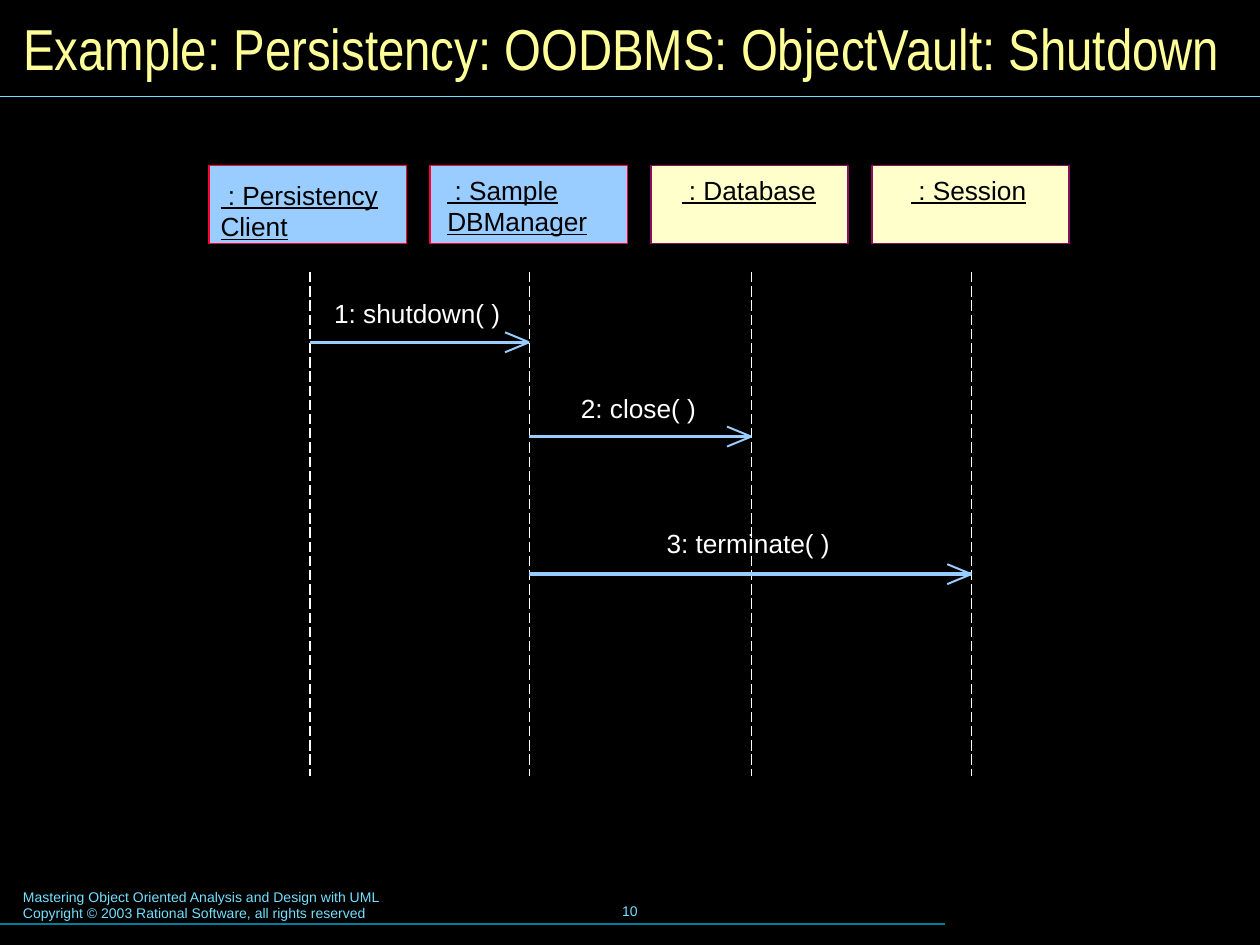
from pptx import Presentation
from pptx.dml.color import RGBColor
from pptx.enum.dml import MSO_LINE
from pptx.enum.shapes import MSO_CONNECTOR, MSO_SHAPE
from pptx.enum.text import MSO_ANCHOR, MSO_AUTO_SIZE, PP_ALIGN
from pptx.oxml.ns import qn
from pptx.util import Pt
from lxml.etree import SubElement

BLACK = RGBColor(0x00, 0x00, 0x00)
WHITE = RGBColor(0xFF, 0xFF, 0xFF)
YELLOW = RGBColor(0xFF, 0xFF, 0x99)
CYAN = RGBColor(0x73, 0xE1, 0xFF)
TEAL = RGBColor(0x00, 0x7E, 0x9F)
BLUE = RGBColor(0x99, 0xCC, 0xFF)
CREAM = RGBColor(0xFF, 0xFF, 0xCC)
RED = RGBColor(0xFF, 0x00, 0x33)
PLUM = RGBColor(0x8A, 0x0E, 0x5E)

# Content
TITLE = "Example: Persistency: OODBMS: ObjectVault: Shutdown"
FOOTER = ("Mastering Object Oriented Analysis and Design with UML\n"
          "Copyright © 2003 Rational Software, all rights reserved")
PAGE = "10"
# name, fill, outline, lifeline x, label (left, top, width, height)
OBJECTS = [
    (" : Persistency\vClient", BLUE, RED, 177.1, (126, 102.2, 90, 36)),
    (" : Sample\vDBManager", BLUE, RED, 302.4, (255.6, 99.4, 80, 36)),
    (" : Database", CREAM, PLUM, 429.3, (389.5, 99.4, 77, 18)),
    (" : Session", CREAM, PLUM, 555.1, (520.6, 99.4, 66, 18)),
]
# label, sender, receiver, arrow y, label (left, top, width, height)
MESSAGES = [
    ("1: shutdown( )", 0, 1, 195.6, (190.9, 169.9, 95, 18)),
    ("2: close( )", 1, 2, 249.5, (331.9, 223.9, 66, 18)),
    ("3: terminate( )", 1, 3, 328.1, (380.9, 301.3, 94, 18)),
]

# Layout
BOX_X, BOX_Y, BOX_W, BOX_H, PITCH = 119.5, 94.5, 112.7, 44.5, 126.25
LIFE_TOP, LIFE_BOTTOM = 155.5, 443.3
HEAD_W, HEAD_H = 13.8, 5.7

TITLE_FONT = {"name": "Arial Narrow", "size": Pt(33), "bold": False}
FOOTER_FONT = {"name": "Arial", "size": Pt(8)}
LABEL_FONT = {"name": "Arial", "size": Pt(15)}
OBJECT_FONT = {**LABEL_FONT, "underline": True}


def write(shape, text, font, color, align=PP_ALIGN.LEFT,
          anchor=MSO_ANCHOR.TOP, wrap=True, inset=(7.2, 3.6)):
    tf = shape.text_frame
    tf.text = text
    dx, dy = map(Pt, inset)
    frame = {"word_wrap": wrap, "auto_size": MSO_AUTO_SIZE.NONE,
             "vertical_anchor": anchor, "margin_left": dx,
             "margin_right": dx, "margin_top": dy, "margin_bottom": dy}
    for key, value in frame.items():
        setattr(tf, key, value)
    for p in tf.paragraphs:
        p.alignment = align
        for r in p.runs:
            for key, value in font.items():
                setattr(r.font, key, value)
            r.font.color.rgb = color


def textbox(s, box, *args, **kwargs):
    write(s.shapes.add_textbox(*map(Pt, box)), *args, **kwargs)


def line(s, x1, y1, x2, y2, color, width=0.75, dash=None):
    c = s.shapes.add_connector(MSO_CONNECTOR.STRAIGHT,
                               *map(Pt, (x1, y1, x2, y2)))
    c.line.color.rgb = color
    c.line.width = Pt(width)
    if dash:
        c.line.dash_style = dash
    SubElement(c._element.spPr, qn("a:effectLst"))


def main():
    prs = Presentation()
    prs.slide_width, prs.slide_height = Pt(720), Pt(540)
    s = prs.slides.add_slide(prs.slide_layouts[5])
    s.background.fill.solid()
    s.background.fill.fore_color.rgb = BLACK

    # Title, rules and footer
    title = s.shapes.title
    place = {"left": 6, "top": 6, "width": 708, "height": 42}
    for key, value in place.items():
        setattr(title, key, Pt(value))
    write(title, TITLE, TITLE_FONT, YELLOW, anchor=MSO_ANCHOR.MIDDLE)
    textbox(s, (6, 504, 367, 27), FOOTER, FOOTER_FONT, CYAN)
    textbox(s, (246, 502.6, 228, 36), PAGE, FOOTER_FONT, CYAN,
            align=PP_ALIGN.CENTER, anchor=MSO_ANCHOR.MIDDLE)
    line(s, 0, 528, 540, 528, TEAL)
    line(s, 0, 55, 720, 55, CYAN)

    # Objects and their lifelines
    for i, (name, fill, outline, x, label) in enumerate(OBJECTS):
        box = s.shapes.add_shape(
            MSO_SHAPE.RECTANGLE,
            *map(Pt, (BOX_X + i * PITCH, BOX_Y, BOX_W, BOX_H)))
        box.shadow.inherit = False
        box.fill.solid()
        box.fill.fore_color.rgb = fill
        box.line.color.rgb = outline
        box.line.width = Pt(0)
        textbox(s, label, name, OBJECT_FONT, BLACK, wrap=False, inset=(0, 0))
        line(s, x, LIFE_TOP, x, LIFE_BOTTOM, WHITE, dash=MSO_LINE.LONG_DASH)

    # Messages with open arrowheads
    for text, sender, receiver, y, label in MESSAGES:
        start, end = OBJECTS[sender][3], OBJECTS[receiver][3]
        line(s, start, y, end, y, BLUE, 0)
        for dy in (HEAD_H, -HEAD_H):
            line(s, end, y, end - HEAD_W, y + dy, BLUE, 1.13)
        textbox(s, label, text, LABEL_FONT, WHITE, wrap=False, inset=(0, 0))

    prs.save("out.pptx")


if __name__ == "__main__":
    main()
